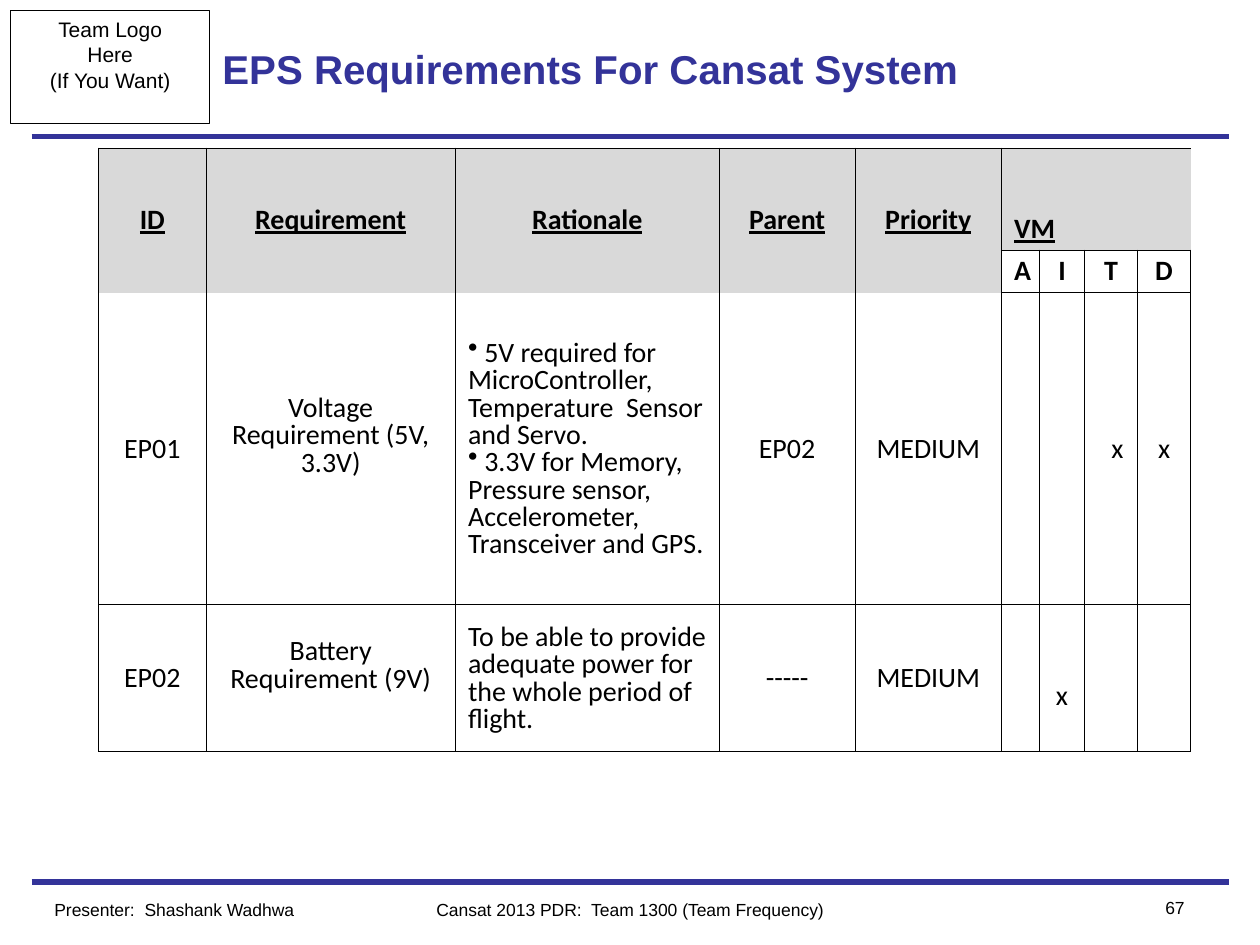
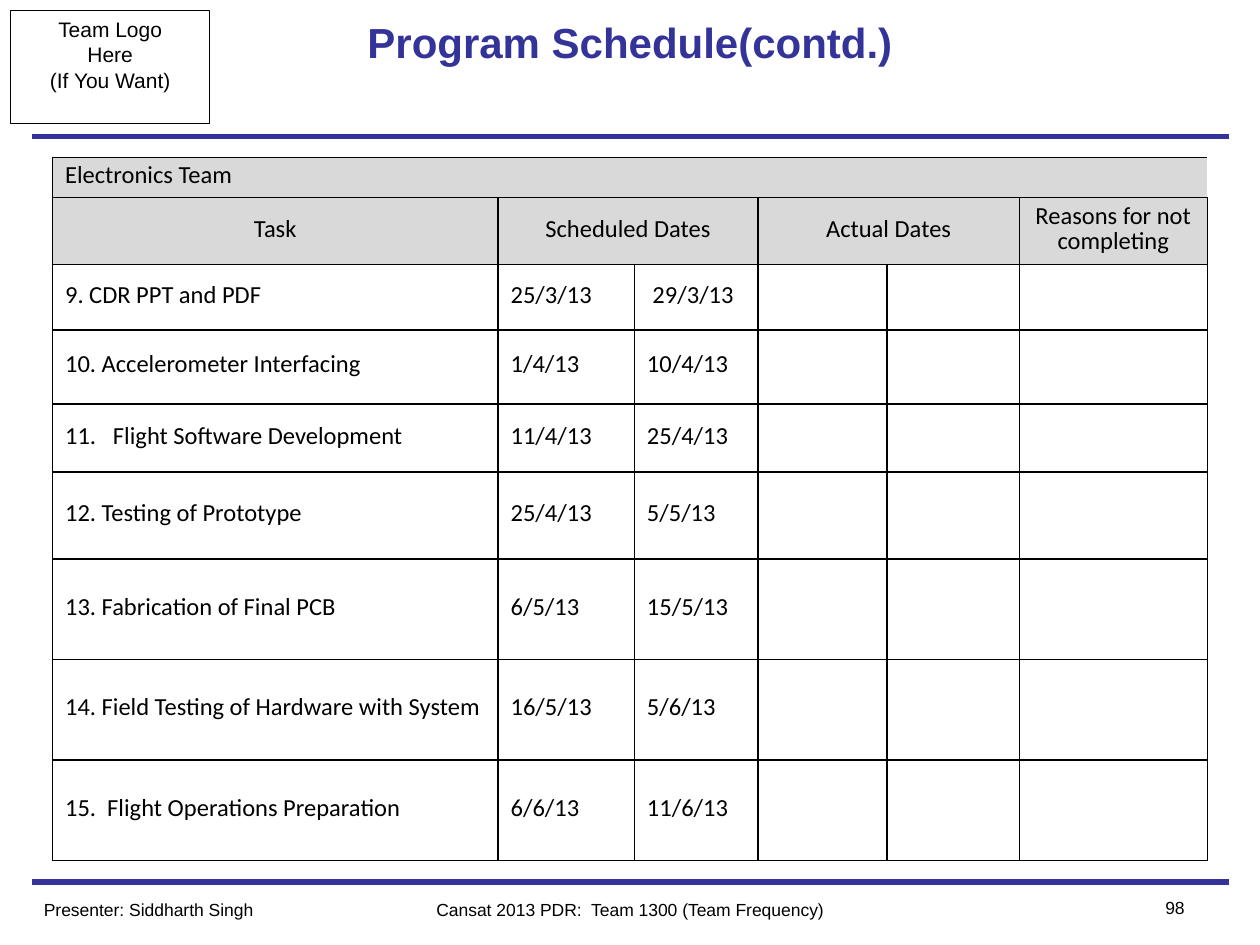
from dataclasses import dataclass, field
from itertools import product

from lxml import etree
from pptx import Presentation, util as u
from pptx.dml.color import RGBColor
from pptx.enum import shapes, text
from pptx.oxml import ns

# Shared look: a 120 x 90 grid over a 10 x 7.5 inch slide
UNIT = u.Inches(10) // 120
NAVY = RGBColor(0x33, 0x33, 0x99)
BLACK = RGBColor(0, 0, 0)
HEADER_GREY = RGBColor(0xD9, 0xD9, 0xD9)
PLAIN_TABLE = "{2D5ABB26-0587-4C30-8999-92F81FD0307C}"
LEFT, CENTRE, RIGHT = text.PP_ALIGN.LEFT, text.PP_ALIGN.CENTER, text.PP_ALIGN.RIGHT
TOP, MIDDLE, BOTTOM = text.MSO_ANCHOR.TOP, text.MSO_ANCHOR.MIDDLE, text.MSO_ANCHOR.BOTTOM
BAND_ROWS = (13, 84)
SIDES = {"l": "a:lnL", "r": "a:lnR", "t": "a:lnT", "b": "a:lnB"}


@dataclass
class Box:
    left: float
    top: float
    width: float
    height: float

    def emu(self) -> list[int]:
        return [round(n * UNIT) for n in (self.left, self.top, self.width, self.height)]


@dataclass
class Style:
    size: float
    font: str = "Arial"
    color: RGBColor = BLACK
    bold: bool = False
    underline: bool = False
    align: int = LEFT
    spacing: float = 1.0
    bullet: str = ""
    tab: float = 0  # inches


@dataclass
class Format:
    """How one table cell differs from a plain one."""
    style: Style
    fill: RGBColor | None = None
    cell: dict = field(default_factory=dict)


@dataclass
class Grid:
    box: Box
    columns: list[float]  # weights
    rows: list[float]
    texts: list[list[str]]
    formats: dict[tuple[int, int], Format]
    plain: Format
    insets: dict
    spans: list[tuple[int, int, int, int]]  # row, column, height, width
    border: float
    open_sides: dict[tuple[int, int], str] = field(default_factory=dict)


def apply(target: object, values: dict) -> None:
    for name, value in values.items():
        setattr(target, name, value)


def add_pr(paragraph, tag: str, **attributes: str):
    return etree.SubElement(paragraph._p.get_or_add_pPr(), ns.qn(tag), attributes)


def write(frame, content: str, style: Style) -> None:
    for index, line in enumerate(content.split("\n")):
        paragraph = frame.add_paragraph() if index else frame.paragraphs[0]
        apply(paragraph, {"alignment": style.align, "line_spacing": style.spacing})
        if style.bullet:
            add_pr(paragraph, "a:buChar", char=style.bullet)
        if style.tab:
            stops = add_pr(paragraph, "a:tabLst")
            etree.SubElement(stops, ns.qn("a:tab"), pos=str(u.Inches(style.tab)), algn="l")
        if not line:
            paragraph._p.get_or_add_endParaRPr().set("sz", str(int(style.size * 100)))
            continue
        run = paragraph.add_run()
        run.text = line
        apply(run.font, {"name": style.font, "size": u.Pt(style.size),
                         "bold": style.bold, "underline": style.underline})
        run.font.color.rgb = style.color


def add_text(slide, box: Box, content: str, style: Style, anchor: int = TOP) -> None:
    frame = slide.shapes.add_textbox(*box.emu()).text_frame
    apply(frame, {"word_wrap": True, "vertical_anchor": anchor})
    write(frame, content, style)


def add_band(slide, row: float) -> None:
    ends = [round(n * UNIT) for n in (3, row, 117, row)]
    band = slide.shapes.add_connector(shapes.MSO_CONNECTOR.STRAIGHT, *ends)
    band.line.color.rgb = NAVY
    band.line.width = u.Pt(3)
    etree.SubElement(band._element.spPr, ns.qn("a:effectLst"))


def add_frame(slide, presenter: str, presenter_left: float, page: str) -> None:
    """Bands, logo box and footer, the same on every slide."""
    for row in BAND_ROWS:
        add_band(slide, row)
    logo = slide.shapes.add_shape(shapes.MSO_SHAPE.RECTANGLE, *Box(1, 1, 19, 10.8).emu())
    logo.shadow.inherit = False
    logo.fill.background()
    logo.line.color.rgb = BLACK
    logo.line.width = u.Pt(0.5)
    apply(logo.text_frame, {"word_wrap": False, "vertical_anchor": TOP})
    write(logo.text_frame, "Team Logo\nHere\n(If You Want)", Style(12, align=CENTRE))
    add_text(slide, Box(36, 85, 48, 3.25), "Cansat 2013 PDR:  Team 1300 (Team Frequency)",
             Style(10, align=CENTRE))
    add_text(slide, Box(105, 84.8, 9, 3.25), page, Style(10, align=RIGHT))
    add_text(slide, Box(presenter_left, 85, 30, 3.25), presenter, Style(10))


def add_border(cell, sides: str, width: float) -> None:
    properties = cell._tc.get_or_add_tcPr()
    for side, tag in SIDES.items():
        if side in sides:
            line = etree.SubElement(properties, ns.qn(tag), w=str(u.Pt(width)))
            solid = etree.SubElement(line, ns.qn("a:solidFill"))
            etree.SubElement(solid, ns.qn("a:srgbClr"), val=str(BLACK))


def visible_sides(grid: Grid, row: int, column: int) -> str:
    hidden = grid.open_sides.get((row, column), "")
    for top, left, height, width in grid.spans:
        if top <= row < top + height and left <= column < left + width:
            hidden += "l" * (column > left) + "r" * (column < left + width - 1)
            hidden += "t" * (row > top) + "b" * (row < top + height - 1)
    return "".join(side for side in SIDES if side not in hidden)


def add_grid(slide, grid: Grid) -> None:
    size = len(grid.rows), len(grid.columns)
    left, top, width, height = grid.box.emu()
    table = slide.shapes.add_table(*size, left, top, width, height).table
    apply(table, {"first_row": False, "horz_banding": False})
    table._tbl.tblPr.find(ns.qn("a:tableStyleId")).text = PLAIN_TABLE
    for column, weight in zip(table.columns, grid.columns):
        column.width = round(width * weight / sum(grid.columns))
    for row, weight in zip(table.rows, grid.rows):
        row.height = round(height * weight / sum(grid.rows))
    for row, column in product(*map(range, size)):
        cell = table.cell(row, column)
        look = grid.formats.get((row, column), grid.plain)
        apply(cell, {"vertical_anchor": MIDDLE, **grid.insets, **look.cell})
        add_border(cell, visible_sides(grid, row, column), grid.border)
        if look.fill is None:
            cell.fill.background()
        else:
            cell.fill.solid()
            cell.fill.fore_color.rgb = look.fill
        write(cell.text_frame, grid.texts[row][column], look.style)
    for row, column, tall, wide in grid.spans:
        table.cell(row, column).merge(table.cell(row + tall - 1, column + wide - 1))


def insets(top: float) -> dict:
    return {"margin_left": u.Inches(0.1), "margin_right": u.Inches(0.1),
            "margin_top": u.Inches(top), "margin_bottom": u.Inches(0.05)}


def requirements_grid() -> Grid:
    body = {"size": 16, "font": "Calibri", "spacing": 0.8}
    centred = Style(**body, align=CENTRE)
    heading = Format(Style(**body, align=CENTRE, bold=True, underline=True), HEADER_GREY)
    method = Format(Style(**body, align=CENTRE, bold=True))
    raised = Format(centred, cell={"margin_bottom": u.Inches(0.26)})
    vm = Format(Style(16, "Calibri", bold=True, underline=True), HEADER_GREY,
                {"vertical_anchor": BOTTOM, "margin_bottom": u.Inches(0.03)})
    formats = {place: heading for place in product((0, 1), range(5))}
    formats |= {(0, column): vm for column in range(5, 9)}
    formats |= {(1, column): method for column in range(5, 9)}
    formats |= {
        (2, 1): raised,
        (3, 1): raised,
        (2, 2): Format(Style(**body, bullet="•")),
        (3, 2): Format(Style(**body)),
        (2, 7): Format(centred, cell={"margin_left": u.Inches(0.2)}),
        (3, 6): Format(centred, cell={"margin_top": u.Inches(0.35)}),
    }
    # The header has no rule below it, and the VM block is partly open
    open_sides = {(1, column): "b" for column in range(5)}
    open_sides |= {(2, column): "t" for column in range(5)}
    open_sides |= {(0, column): "b" for column in range(6, 9)}
    open_sides |= {(1, column): "t" for column in range(6, 9)}
    open_sides |= {(0, 8): "br", (1, 4): "br", (1, 5): "l"}
    return Grid(
        box=Box(9.4, 14.1, 104, 57.5),
        columns=[0.85, 1.98, 2.09, 1.08, 1.16, 0.3, 0.36, 0.42, 0.42],
        rows=[0.81, 0.34, 2.48, 1.17],
        texts=[
            ["ID", "Requirement", "Rationale", "Parent", "Priority", "VM", "", "", ""],
            ["", "", "", "", "", "A", "I", "T", "D"],
            ["EP01", "Voltage Requirement (5V, 3.3V)",
             " 5V required for MicroController, Temperature  Sensor and Servo.\n"
             " 3.3V for Memory, Pressure sensor, Accelerometer, Transceiver and GPS.",
             "EP02", "MEDIUM", "", "", "x", "x"],
            ["EP02", "Battery Requirement (9V)",
             "To be able to provide adequate power for the whole period of flight.",
             "-----", "MEDIUM", "", "x", "", ""],
        ],
        formats=formats, plain=Format(centred), insets=insets(0.07),
        spans=[(0, column, 2, 1) for column in range(5)] + [(0, 5, 1, 4)],
        border=0.45, open_sides=open_sides)


def schedule_grid() -> Grid:
    body = {"size": 14, "font": "Calibri", "spacing": 0.82}
    heading = Format(Style(**body, align=CENTRE), HEADER_GREY)
    team = Format(Style(**body), HEADER_GREY)
    formats = {(0, column): team for column in range(6)}
    formats |= {(1, column): heading for column in range(6)}
    formats[4, 0] = Format(Style(**body, tab=0.38))
    tasks = [
        ("9. CDR PPT and PDF", "25/3/13", " 29/3/13"),
        ("10. Accelerometer Interfacing", "1/4/13", "10/4/13"),
        ("11.\tFlight Software Development", "11/4/13", "25/4/13"),
        ("12. Testing of Prototype", "25/4/13", "5/5/13"),
        ("13. Fabrication of Final PCB", "6/5/13", "15/5/13"),
        ("14. Field Testing of Hardware with System", "16/5/13", "5/6/13"),
        ("15.  Flight Operations Preparation", "6/6/13", "11/6/13"),
    ]
    return Grid(
        box=Box(5, 15, 110, 67),
        columns=[3.53, 1.08, 0.98, 1.02, 1.05, 1.49],
        rows=[0.32, 0.53, 0.52, 0.59, 0.54, 0.69, 0.8, 0.8, 0.8],
        texts=[
            ["Electronics Team"] + [""] * 5,
            ["Task", "Scheduled Dates", "", "Actual Dates", "", "Reasons for not completing"],
            *([*task, "", "", ""] for task in tasks),
        ],
        formats=formats, plain=Format(Style(**body)), insets=insets(0.03),
        spans=[(0, 0, 1, 6), (1, 1, 1, 2), (1, 3, 1, 2)], border=1)


def main() -> None:
    deck = Presentation()
    apply(deck, {"slide_width": 120 * UNIT, "slide_height": 90 * UNIT})
    blank = deck.slide_layouts[6]

    # EPS requirements
    requirements = deck.slides.add_slide(blank)
    add_frame(requirements, "Presenter:  Shashank Wadhwa", 4, "67")
    add_text(requirements, Box(20, 1, 79, 11), "EPS Requirements For Cansat System",
             Style(23, color=NAVY, bold=True), MIDDLE)
    add_grid(requirements, requirements_grid())

    # Program schedule
    schedule = deck.slides.add_slide(blank)
    add_frame(schedule, "Presenter: Siddharth Singh", 3, "98")
    add_text(schedule, Box(21, 1, 78, 11), "Program Schedule(contd.)",
             Style(24, color=NAVY, bold=True, align=CENTRE))
    add_grid(schedule, schedule_grid())

    deck.save("out.pptx")


if __name__ == "__main__":
    main()
